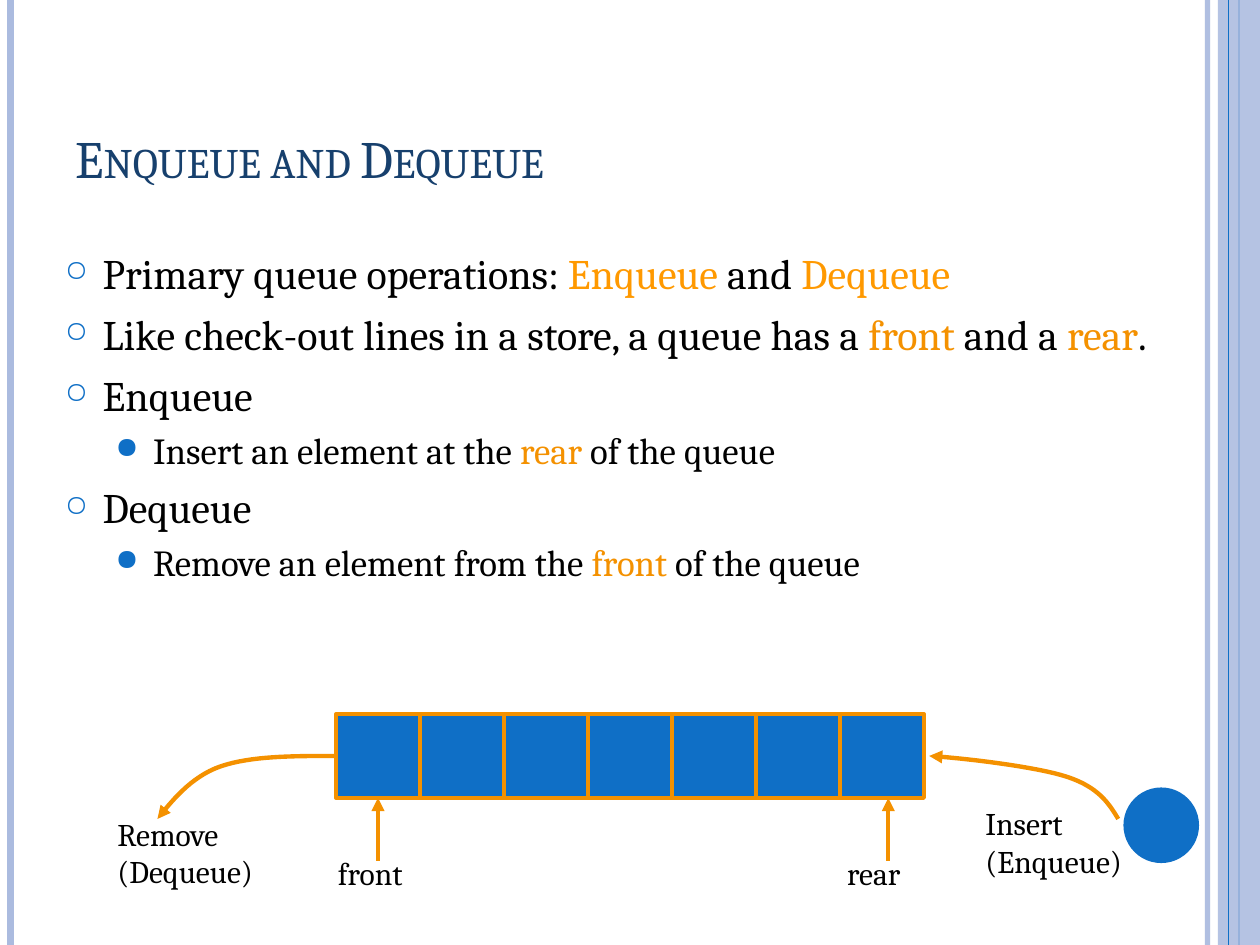
from dataclasses import dataclass

import pptx
import pptx.dml.color
import pptx.enum.shapes
import pptx.enum.text
import pptx.oxml
import pptx.oxml.ns
import pptx.util

Pt = pptx.util.Pt
SHAPE = pptx.enum.shapes.MSO_SHAPE
ANCHOR = pptx.enum.text.MSO_ANCHOR
AUTO_SIZE = pptx.enum.text.MSO_AUTO_SIZE


@dataclass(frozen=True)
class Theme:
    font: str = "Cambria"
    title: str = "17406D"
    text: str = "000000"
    blue: str = "0F6FC6"
    pale: str = "ABBBDF"
    orange: str = "F49100"
    amber: str = "FF9900"
    title_size: float = 30
    bullet_size: float = 24
    detail_size: float = 21
    label_size: float = 18


@dataclass(frozen=True)
class Box:
    left: float
    top: float
    width: float
    height: float


THEME = Theme()


def rgb(value):
    return pptx.dml.color.RGBColor.from_string(value)


def append_xml(parent, tag, content="", **attributes):
    listed = "".join(f' {key}="{value}"' for key, value in attributes.items())
    namespace = pptx.oxml.ns.nsdecls("a")
    parent.append(pptx.oxml.parse_xml(f"<a:{tag} {namespace}{listed}>{content}</a:{tag}>"))


def set_alpha(fill, percent):
    color = fill._xPr.find(".//" + pptx.oxml.ns.qn("a:srgbClr"))
    append_xml(color, "alpha", val=percent * 1000)


def write(paragraph, text, *, size, color=THEME.text, small_caps=False):
    """Add text to a paragraph; a newline becomes a line break."""
    for number, line in enumerate(text.split("\n")):
        if number:
            paragraph.add_line_break()
        run = paragraph.add_run()
        run.text = line
        run.font.name = THEME.font
        run.font.size = Pt(size)
        run.font.color.rgb = rgb(color)
        if small_caps:
            run._r.get_or_add_rPr().set("cap", "small")


def add_frame(slide, box, anchor=ANCHOR.TOP, auto_size=AUTO_SIZE.NONE):
    frame = slide.shapes.add_textbox(
        Pt(box.left), Pt(box.top), Pt(box.width), Pt(box.height)).text_frame
    frame.word_wrap = True
    frame.vertical_anchor = anchor
    frame.auto_size = auto_size
    return frame


def add_label(slide, box, text):
    frame = add_frame(slide, box, auto_size=AUTO_SIZE.SHAPE_TO_FIT_TEXT)
    write(frame.paragraphs[0], text, size=THEME.label_size)


def add_filled(slide, kind, box, color, outline=None):
    shape = slide.shapes.add_shape(
        kind, Pt(box.left), Pt(box.top), Pt(box.width), Pt(box.height))
    shape.shadow.inherit = False
    shape.fill.solid()
    shape.fill.fore_color.rgb = rgb(color)
    if outline:
        shape.line.color.rgb = rgb(outline)
        shape.line.width = Pt(2.25)
    else:
        shape.line.fill.background()
    return shape


def style_line(line, color, width, arrow=False):
    line.color.rgb = rgb(color)
    line.width = Pt(width)
    if arrow:
        append_xml(line._get_or_add_ln(), "tailEnd", type="triangle")


def add_line(slide, start, end, color, width, arrow=False):
    connector = slide.shapes.add_connector(
        pptx.enum.shapes.MSO_CONNECTOR.STRAIGHT, *map(Pt, start + end))
    style_line(connector.line, color, width, arrow)
    append_xml(connector._element.spPr, "effectLst")
    return connector


def curve_points(points, steps=16):
    """Sample joined cubic curves given as start, then three points per curve."""
    sampled = [points[0]]
    for first in range(0, len(points) - 1, 3):
        corners = points[first:first + 4]
        for step in range(1, steps + 1):
            t = step / steps
            weights = ((1 - t) ** 3, 3 * t * (1 - t) ** 2, 3 * t ** 2 * (1 - t), t ** 3)
            sampled.append(tuple(
                sum(weight * corner[axis] for weight, corner in zip(weights, corners))
                for axis in (0, 1)))
    return sampled


def add_curved_arrow(slide, origin, points):
    placed = [(Pt(origin[0] + x), Pt(origin[1] + y)) for x, y in curve_points(points)]
    builder = slide.shapes.build_freeform(*placed[0])
    builder.add_line_segments(placed[1:], close=False)
    arrow = builder.convert_to_shape()
    arrow.shadow.inherit = False
    arrow.fill.background()
    style_line(arrow.line, THEME.orange, 2.5, arrow=True)


def add_side_stripes(slide, box):
    def stripe(x, color, width):
        return add_line(slide, (box.left + x, box.top),
                        (box.left + x, box.top + box.height), color, width)

    set_alpha(stripe(690, THEME.pale, 3).line.fill, 93)
    stripe(6, THEME.pale, 4.5)
    stripe(708, THEME.blue, 1.5)
    band = add_filled(slide, SHAPE.RECTANGLE,
                      Box(box.left + 696, box.top, 24, box.height), THEME.pale)
    set_alpha(band.fill, 87)
    stripe(702, THEME.blue, 0.75)


def add_title(slide, box, text):
    frame = add_frame(slide, box, anchor=ANCHOR.BOTTOM)
    write(frame.paragraphs[0], text, size=THEME.title_size, color=THEME.title,
          small_caps=True)


def add_bullets(slide, box, items):
    """Each item is its level and its (text, color) pieces."""
    levels = (("○", 70, 21.6, 6, THEME.bullet_size),
              ("●", 80, 50.4, 4.2, THEME.detail_size))
    frame = add_frame(slide, box)
    for number, (level, pieces) in enumerate(items):
        mark, mark_size, indent, space, size = levels[level]
        paragraph = frame.add_paragraph() if number else frame.paragraphs[0]
        paragraph.level = level
        paragraph.space_before = Pt(space)
        properties = paragraph._p.get_or_add_pPr()
        properties.set("marL", str(Pt(indent)))
        properties.set("indent", str(Pt(-21.6)))
        append_xml(properties, "buClr", f'<a:srgbClr val="{THEME.blue}"/>')
        append_xml(properties, "buSzPct", val=mark_size * 1000)
        append_xml(properties, "buChar", char=mark)
        for text, color in pieces:
            write(paragraph, text, size=size, color=color)


def add_queue(slide, box, count=7, cell=48):
    """Draw the row of cells with its pointers, curved arrows and labels."""
    left, top = box.left, box.top
    row = left + 132
    for index in range(count):
        add_filled(slide, SHAPE.RECTANGLE, Box(row + index * cell, top, cell, cell),
                   THEME.blue, THEME.orange)
    add_filled(slide, SHAPE.OVAL, Box(left + 582, top + 42, 43.2, 43.2), THEME.blue)
    add_curved_arrow(slide, (left, top), (
        (132, 24), (107.8, 24), (83.3, 24), (66, 30), (48.7, 36), (37.2, 51), (30, 60)))
    add_curved_arrow(slide, (left, top), (
        (579, 60), (573.6, 51), (567.8, 42), (550, 36), (531.8, 30), (488.6, 25), (471, 24)))
    add_label(slide, Box(left + 496, top + 48, 126, 55.4), "Insert\n(Enqueue)")
    add_label(slide, Box(left, top + 54, 126, 55.4), "Remove\n(Dequeue)")
    for name, label_left, width, pointer in (("rear", 417, 54, 447.6), ("front", 126, 78, 156)):
        add_label(slide, Box(left + label_left, top + 76.5, width, 31), name)
        add_line(slide, (left + pointer, top + 84), (left + pointer, top + cell),
                 THEME.orange, 2.5, arrow=True)


def main():
    deck = pptx.Presentation()
    deck.slide_width, deck.slide_height = Pt(720), Pt(540)
    slide = deck.slides.add_slide(deck.slide_layouts[6])
    plain, orange, amber = THEME.text, THEME.orange, THEME.amber
    add_side_stripes(slide, Box(0, 0, 720, 540))
    add_title(slide, Box(36, 21.6, 588, 90), "Enqueue and Dequeue")
    add_bullets(slide, Box(30, 138, 672, 270), (
        (0, (("Primary queue operations: ", plain), ("Enqueue", amber),
             (" and ", plain), ("Dequeue", amber))),
        (0, (("Like check-out lines in a store, a queue has a ", plain), ("front", orange),
             (" and a ", plain), ("rear", orange), (".", plain))),
        (0, (("Enqueue", plain),)),
        (1, (("Insert an element at the ", plain), ("rear", orange), (" of the queue", plain))),
        (0, (("Dequeue", plain),)),
        (1, (("Remove an element from the ", plain), ("front", orange),
             (" of the queue", plain))),
    ))
    add_queue(slide, Box(60, 408, 626, 109))
    deck.save("out.pptx")


if __name__ == "__main__":
    main()
